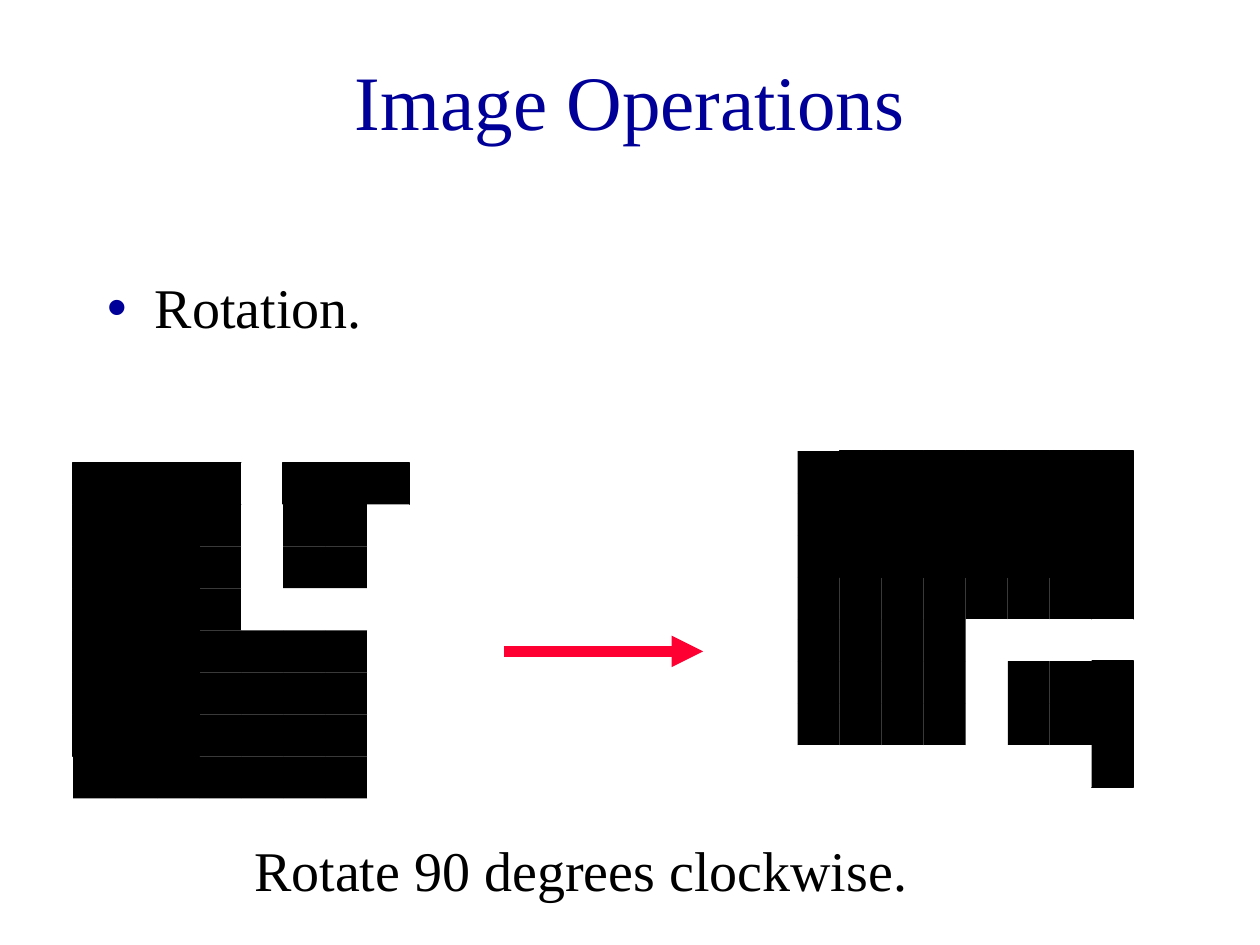
from dataclasses import dataclass

from pptx import Presentation
from pptx.dml.color import RGBColor
from pptx.enum.shapes import MSO_CONNECTOR, MSO_SHAPE
from pptx.enum.text import MSO_ANCHOR, MSO_AUTO_SIZE, PP_ALIGN
from pptx.oxml.ns import qn
from pptx.util import Inches, Pt
from lxml import etree

RECTANGLE = MSO_SHAPE.RECTANGLE
STRAIGHT = MSO_CONNECTOR.STRAIGHT
TOP, MIDDLE = MSO_ANCHOR.TOP, MSO_ANCHOR.MIDDLE
LEFT, CENTER = PP_ALIGN.LEFT, PP_ALIGN.CENTER
NO_FIT = MSO_AUTO_SIZE.NONE

CELL = 1 / 3
OUTLINED, PLAIN, EMPTY = "#", "+", "."
PATTERN = [
    "####.###",
    "###+.++.",
    "###+.++.",
    "###+....",
    "###++++.",
    "###++++.",
    "###++++.",
    "+++++++.",
]


@dataclass(frozen=True)
class Theme:
    font: str = "Times New Roman"
    accent: str = "000099"
    ink: str = "000000"
    paper: str = "FFFFFF"
    arrow: str = "FF0033"
    title_size: int = 44
    text_size: int = 32
    cell_line: float = 0.75
    arrow_line: float = 6


class SlideBuilder:
    def __init__(self, slide, theme):
        self.slide = slide
        self.theme = theme

    def place(self, box, left, top, width, height):
        box.left, box.top = Inches(left), Inches(top)
        box.width, box.height = Inches(width), Inches(height)

    def fill_text(self, box, text, size, color, align, anchor):
        frame = box.text_frame
        frame.text = text
        frame.word_wrap = True
        frame.auto_size = NO_FIT
        frame.vertical_anchor = anchor
        para = frame.paragraphs[0]
        para.alignment = align
        para.space_before = Pt(0)
        font = para.runs[0].font
        font.name = self.theme.font
        font.size = Pt(size)
        font.color.rgb = RGBColor.from_string(color)
        return para

    def title(self, text, *area):
        box = self.slide.shapes.title
        self.place(box, *area)
        self.fill_text(box, text, self.theme.title_size, self.theme.accent, CENTER, MIDDLE)

    def bullet(self, text, *area):
        box = self.slide.placeholders[1]
        self.place(box, *area)
        para = self.fill_text(box, text, self.theme.text_size, self.theme.ink, LEFT, TOP)
        para.line_spacing = 0.9
        properties = para._p.get_or_add_pPr()
        properties.set("marL", str(Inches(0.38)))
        properties.set("indent", str(-Inches(0.38)))
        color = etree.SubElement(properties, qn("a:buClr"))
        etree.SubElement(color, qn("a:srgbClr"), val=self.theme.accent)
        etree.SubElement(properties, qn("a:buChar"), char="•")

    def rectangle(self, shapes, fill, left, top, width, height):
        box = shapes.add_shape(
            RECTANGLE, Inches(left), Inches(top), Inches(width), Inches(height)
        )
        box.shadow.inherit = False
        box.fill.solid()
        box.fill.fore_color.rgb = RGBColor.from_string(fill)
        box.line.fill.background()
        return box

    def caption(self, text, *area):
        box = self.rectangle(self.slide.shapes, self.theme.paper, *area)
        self.fill_text(box, text, self.theme.text_size, self.theme.ink, LEFT, TOP)

    def mosaic(self, left, top, rotated=False):
        group = self.slide.shapes.add_group_shape()
        last = len(PATTERN) - 1
        for row, marks in enumerate(PATTERN):
            for column, mark in enumerate(marks):
                across, down = (last - row, column) if rotated else (column, row)
                fill = self.theme.paper if mark == EMPTY else self.theme.ink
                cell = self.rectangle(
                    group.shapes, fill, left + across * CELL, top + down * CELL, CELL, CELL
                )
                cell.rotation = 90 if rotated else 0
                if mark == OUTLINED:
                    cell.line.color.rgb = RGBColor.from_string(self.theme.ink)
                    cell.line.width = Pt(self.theme.cell_line)

    def arrow(self, start, end, height):
        connector = self.slide.shapes.add_connector(
            STRAIGHT, Inches(start), Inches(height), Inches(end), Inches(height)
        )
        connector.line.color.rgb = RGBColor.from_string(self.theme.arrow)
        connector.line.width = Pt(self.theme.arrow_line)
        properties = connector._element.spPr
        outline = properties.find(qn("a:ln"))
        etree.SubElement(outline, qn("a:tailEnd"), type="triangle")
        etree.SubElement(properties, qn("a:effectLst"))


def main():
    deck = Presentation()
    deck.slide_width, deck.slide_height = Inches(10), Inches(7.5)
    page = SlideBuilder(deck.slides.add_slide(deck.slide_layouts[1]), Theme())
    page.title("Image Operations", 0.75, 0.17, 8.5, 1.25)
    page.bullet("Rotation.", 0.75, 2.17, 8.5, 0.58)
    page.mosaic(6.33, 3.58, rotated=True)
    page.arrow(4, 5.58, 5.17)
    page.caption("Rotate 90 degrees clockwise.", 1.92, 6.58, 6.33, 0.64)
    page.mosaic(0.58, 3.67)
    deck.save("out.pptx")


if __name__ == "__main__":
    main()
